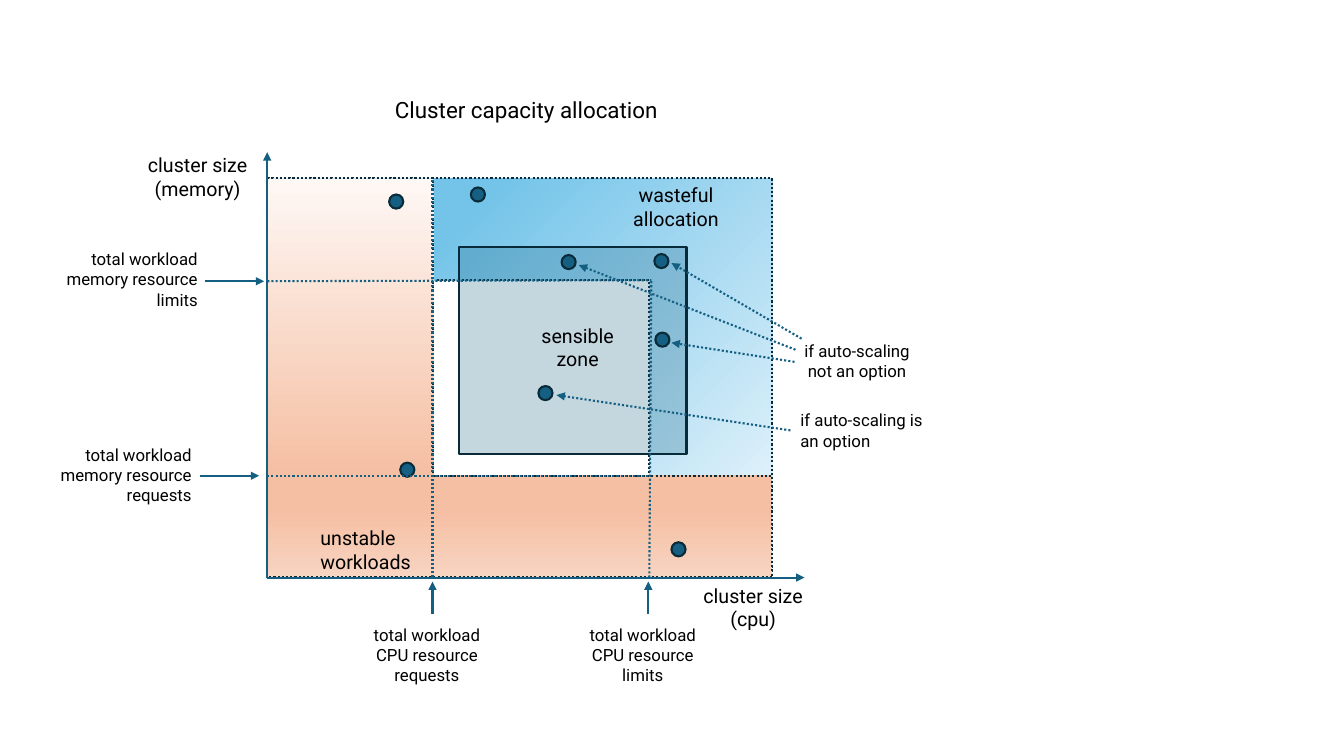
import lxml.etree
import pptx
import pptx.dml.color
import pptx.enum.dml
import pptx.enum.shapes
import pptx.enum.text
import pptx.oxml.ns
import pptx.util

PX = 9144
SHAPE = pptx.enum.shapes.MSO_SHAPE
ALIGN = pptx.enum.text.PP_ALIGN
qn = pptx.oxml.ns.qn


def emu(*lengths):
    return [length * PX for length in lengths]


def color(hex_value):
    return pptx.dml.color.RGBColor.from_string(hex_value)


class Diagram:
    font = "Roboto"
    ink = "000000"
    accent = "156082"
    outline = "092A39"
    weight = 1.5

    def __init__(self, slide):
        self.slide = slide

    def stroke(self, line, hex_value, dotted):
        line.color.rgb = color(hex_value)
        line.width = pptx.util.Pt(self.weight)
        if dotted:
            line.dash_style = pptx.enum.dml.MSO_LINE.ROUND_DOT

    def shape(self, kind, left, top, width, height, dotted=False):
        shape = self.slide.shapes.add_shape(kind, *emu(left, top, width, height))
        shape.shadow.inherit = False
        self.stroke(shape.line, self.outline, dotted)
        return shape

    def region(self, box, arms, stops, angle, rotation=0):
        region = self.shape(SHAPE.CORNER, *box, dotted=True)
        region.rotation = rotation
        region.adjustments[0], region.adjustments[1] = arms
        region.fill.gradient()
        region.fill.gradient_angle = 360 - angle
        stop_list = next(region._element.spPr.iter(qn("a:gsLst")))
        for stop in list(stop_list):
            stop_list.remove(stop)
        for position, hex_value in stops:
            stop = lxml.etree.SubElement(stop_list, qn("a:gs"), pos=str(position * 1000))
            lxml.etree.SubElement(stop, qn("a:srgbClr"), val=hex_value)

    def zone(self, left, top, width, height, opacity):
        zone = self.shape(SHAPE.RECTANGLE, left, top, width, height)
        zone.fill.solid()
        zone.fill.fore_color.rgb = color(self.accent)
        tint = zone._element.spPr.find(qn("a:solidFill")).find(qn("a:srgbClr"))
        lxml.etree.SubElement(tint, qn("a:alpha"), val=str(opacity * 1000))

    def point(self, left, top, size=14):
        point = self.shape(SHAPE.OVAL, left, top, size, size)
        point.fill.solid()
        point.fill.fore_color.rgb = color(self.accent)

    def line(self, x1, y1, x2, y2, dotted=False, arrow=False):
        line = self.slide.shapes.add_connector(
            pptx.enum.shapes.MSO_CONNECTOR.STRAIGHT, *emu(x1, y1, x2, y2))
        self.stroke(line.line, self.accent, dotted)
        properties = line._element.spPr
        if arrow:
            lxml.etree.SubElement(properties.find(qn("a:ln")), qn("a:tailEnd"), type="triangle")
        lxml.etree.SubElement(properties, qn("a:effectLst"))

    def text(self, words, left, top, width, height, size=12, align=ALIGN.CENTER):
        frame = self.slide.shapes.add_textbox(*emu(left, top, width, height)).text_frame
        frame.word_wrap = True
        frame.auto_size = pptx.enum.text.MSO_AUTO_SIZE.SHAPE_TO_FIT_TEXT
        frame.text = words
        for paragraph in frame.paragraphs:
            paragraph.alignment = align
            for run in paragraph.runs:
                run.font.name = self.font
                run.font.size = pptx.util.Pt(size)
                run.font.color.rgb = color(self.ink)


def main():
    deck = pptx.Presentation()
    deck.slide_width, deck.slide_height = emu(1333, 750)
    diagram = Diagram(deck.slides.add_slide(deck.slide_layouts[6]))

    plot = (265, 177, 501, 396)
    left, top = plot[:2]
    bottom = top + plot[3]
    cpu_requests, cpu_limits = 429, 644
    memory_requests, memory_limits = 472, 279
    inner_right = 646

    wasteful = [(0, "F0F8FD"), (74, "74C4E9"), (83, "74C4E9"), (100, "A2D8F0")]
    unstable = [(0, "FEF8F5"), (74, "F5BFA3"), (83, "F5BFA3"), (100, "F8D4C2")]
    diagram.region(plot, (0.255, 0.308), wasteful, 45, rotation=180)
    diagram.region(plot, (0.255, 0.416), unstable, 90)

    diagram.line(left, bottom, 798, bottom, arrow=True)
    diagram.line(left, bottom, left, 151, arrow=True)
    diagram.zone(455, 245, 226, 205, opacity=25)

    for point in [(397, 459), (467, 186), (386, 193), (534, 383), (650, 330),
                  (666, 538), (557, 253), (649, 252)]:
        diagram.point(*point)

    for threshold in [
        (cpu_requests, bottom, cpu_requests, top),
        (cpu_limits, bottom, inner_right, memory_limits - 1),
        (left, memory_limits, inner_right, memory_limits - 1),
        (left, memory_requests, inner_right, memory_requests),
    ]:
        diagram.line(*threshold, dotted=True)

    for cpu in (cpu_requests, cpu_limits - 1):
        diagram.line(cpu, 609, cpu, 577, arrow=True)
    for start, memory in [(198, memory_requests), (203, memory_limits)]:
        diagram.line(start, memory, start + 59, memory, arrow=True)

    for pointer in [(789, 347, 574, 263), (795, 336, 666, 261),
                    (788, 359, 666, 340), (784, 427, 552, 392)]:
        diagram.line(*pointer, dotted=True, arrow=True)

    diagram.text("Cluster capacity allocation", 317, 90, 410, 37, size=16)
    for words, *box in [
        ("cluster size (cpu)", 683, 574, 128, 57),
        ("cluster size (memory)", 132, 147, 128, 57),
        ("wasteful allocation", 593, 177, 155, 57),
        ("sensible zone", 510, 316, 126, 57),
    ]:
        diagram.text(words, *box, size=14)
    diagram.text("unstable workloads", 308, 517, 126, 57, size=14, align=ALIGN.LEFT)

    diagram.text("total workload\nCPU resource requests", 351, 615, 145, 71)
    diagram.text("total workload\vCPU resource\vlimits", 552, 615, 171, 71)
    diagram.text("total workload\nmemory resource requests", 48, 436, 152, 71, align=ALIGN.RIGHT)
    diagram.text("total workload\nmemory resource\nlimits", 38, 242, 168, 71, align=ALIGN.RIGHT)
    diagram.text("if auto-scaling is an option", 784, 402, 144, 50, align=ALIGN.LEFT)
    diagram.text("if auto-scaling not an option", 784, 333, 132, 50)

    deck.save("out.pptx")


if __name__ == "__main__":
    main()
